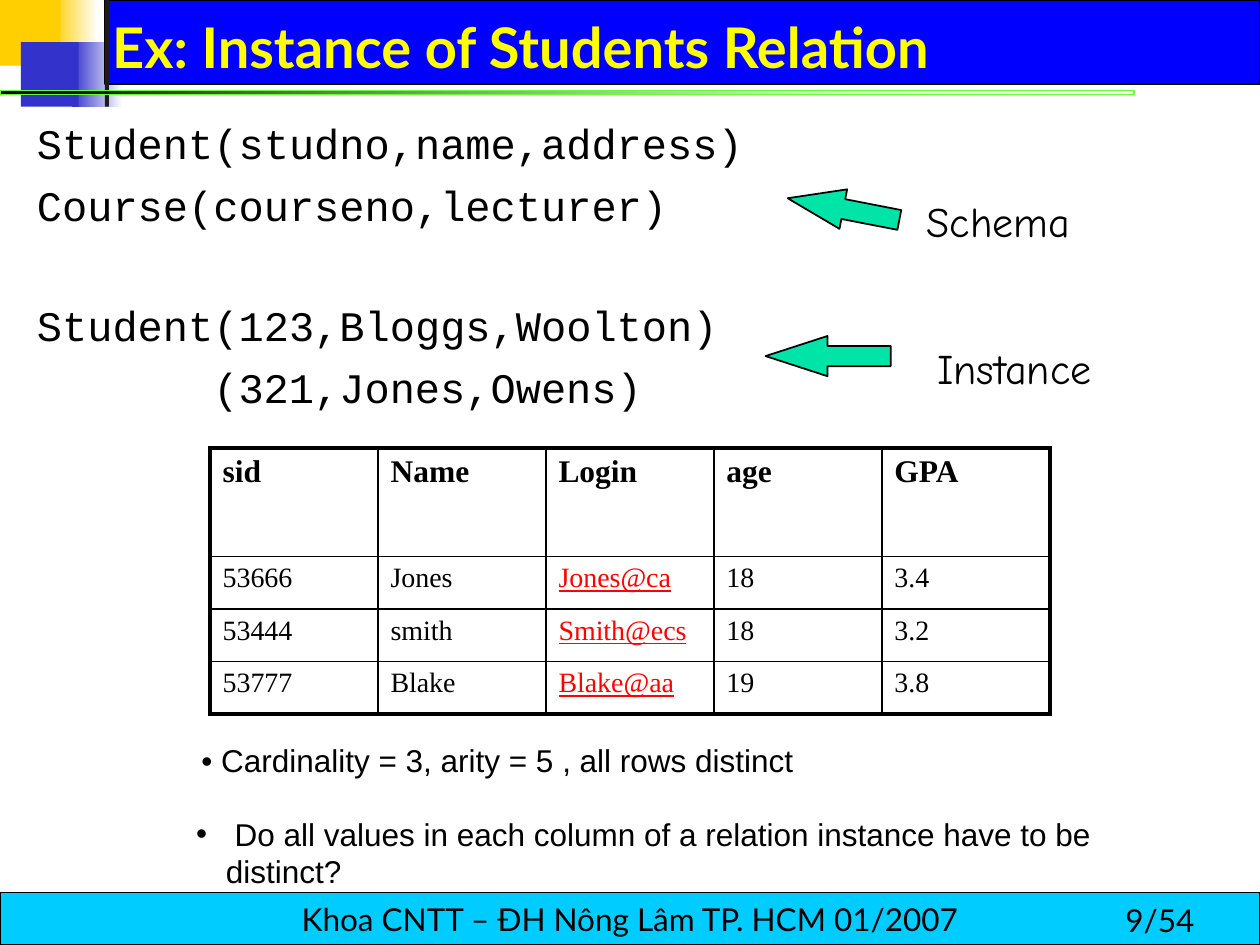
from lxml.etree import SubElement
from pptx import Presentation
from pptx.dml.color import RGBColor
from pptx.enum.shapes import MSO_SHAPE as SHAPE
from pptx.enum.text import MSO_ANCHOR as ANCHOR, PP_ALIGN as ALIGN
from pptx.oxml.ns import qn
from pptx.util import Pt

BLACK, RED = "000000", "FF0000"
THIN, THICK = 1, 2.25

SCHEMA_LINES = [("Student(studno,name,address)", 6.5, 0),
                ("Course(courseno,lecturer)", 6.5, 0),
                ("Student(123,Bloggs,Woolton)", 40.2, 0),
                ("(321,Jones,Owens)", 6.5, 100.8)]
STUDENTS = [("sid", "Name", "Login", "age", "GPA"),
            ("53666", "Jones", "Jones@ca", "18", "3.4"),
            ("53444", "smith", "Smith@ecs", "18", "3.2"),
            ("53777", "Blake", "Blake@aa", "19", "3.8")]


def rgb(value):
    """Turn a hex string into a colour."""
    return RGBColor.from_string(value)


def write(paragraph, text, size=18, font="Arial", color=BLACK, bold=False,
          underline=False, align=None, before=0, indent=0, bullet=None):
    """Write formatted text into a paragraph."""
    paragraph.alignment = align
    paragraph.space_before = Pt(before)
    run = paragraph.add_run()
    run.text = text
    run.font.size, run.font.name = Pt(size), font
    run.font.bold, run.font.underline = bold, underline
    run.font.color.rgb = rgb(color)
    properties = paragraph._p.get_or_add_pPr()
    if indent:
        properties.set("marL", str(Pt(indent)))
    if bullet:
        properties.set("indent", str(-Pt(indent)))
        SubElement(properties, qn("a:buFont"), typeface="Arial")
        SubElement(properties, qn("a:buChar"), char=bullet)


def add_text(slide, box, text, anchor=ANCHOR.TOP, wrap=True, **style):
    """Add a text box holding one paragraph."""
    frame = slide.shapes.add_textbox(*map(Pt, box)).text_frame
    frame.word_wrap, frame.vertical_anchor = wrap, anchor
    write(frame.paragraphs[0], text, **style)


def add_block(slide, box, fill, fade=None, line=None, width=0.75, kind=SHAPE.RECTANGLE):
    """Add a shape with a solid fill, or one fading to a second colour."""
    block = slide.shapes.add_shape(kind, *map(Pt, box))
    block.shadow.inherit = False
    if fade:
        block.fill.gradient()
        block.fill.gradient_angle = 0
        for stop, color in zip(block.fill.gradient_stops, (fill, fade)):
            stop.color.rgb = rgb(color)
    else:
        block.fill.solid()
        block.fill.fore_color.rgb = rgb(fill)
    if line:
        block.line.color.rgb = rgb(line)
        block.line.width = Pt(width)
    else:
        block.line.fill.background()
    return block


def add_header(slide, box, title):
    """Draw the coloured squares, title band and rule."""
    x, y, width, height = box
    add_block(slide, (x + 30, y, 26, 37.5), "FFCF01", fade="FFFFFF")
    add_block(slide, (x + 41, y + 24, 29, 37), "3333CC", fade="FFFFFF")
    add_block(slide, (x + 60, y, width - 60, 48), "0000FF", line=BLACK)
    add_block(slide, (x, y, 34.5, 37.5), "FFCF01")
    add_block(slide, (x + 12, y + 24, 33, 37), "3333CC")
    add_block(slide, (x + 60, y, 2.2, height), "1C1C1C")
    rule = add_block(slide, (x, y + 51.8, 648, 2.2), BLACK, fade="66FF33",
                     line="66FF33", width=0)
    end_color = rule._element.spPr.findall(".//" + qn("a:gs"))[-1][0]
    SubElement(end_color, qn("a:alpha"), val="0")
    add_text(slide, (x + 57, y - 5, 612, 54), title, anchor=ANCHOR.BOTTOM,
             size=32, font="Lato", color="FFFF00", bold=True)


def add_footer(slide, box, credit, page):
    """Draw the footer band with its credit and page number."""
    x, y, width, height = box
    band = add_block(slide, box, "00CCFF", line=BLACK)
    band.text_frame.vertical_anchor = ANCHOR.MIDDLE
    write(band.text_frame.paragraphs[0], credit, font="Lato", align=ALIGN.CENTER)
    add_text(slide, (x + 636, y + 1.2, width - 636, height - 1.2), page, font="Lato")


def add_schema(slide, box):
    """Write the relation schemas and their instances."""
    frame = slide.shapes.add_textbox(*map(Pt, box)).text_frame
    frame.word_wrap = True
    for number, (text, before, indent) in enumerate(SCHEMA_LINES):
        paragraph = frame.add_paragraph() if number else frame.paragraphs[0]
        write(paragraph, text, size=24, font="Courier New", before=before, indent=indent)


def add_callout(slide, box, label, label_left, turn=0, head=1.5):
    """Draw a left arrow and the label at its tail."""
    x, y, width, height = box
    arrow = add_block(slide, box, "00E4A8", line=BLACK, width=1, kind=SHAPE.LEFT_ARROW)
    arrow.adjustments[1] = head
    arrow.rotation = turn
    add_text(slide, (x + label_left, y, 110, 36), label, wrap=False,
             size=24, font="Comic Neue")


def add_borders(cell, **widths):
    """Draw the four black borders of a cell."""
    properties = cell._tc.get_or_add_tcPr()
    for place, (side, width) in enumerate(widths.items()):
        border = SubElement(properties, qn("a:" + side), w=str(Pt(width)))
        properties.insert(place, border)
        fill = SubElement(border, qn("a:solidFill"))
        SubElement(fill, qn("a:srgbClr"), val=BLACK)


def add_students(slide, box):
    """Draw the table of students."""
    width, height = box[2:]
    rows, columns = len(STUDENTS), len(STUDENTS[0])
    header_height = 62
    table = slide.shapes.add_table(rows, columns, *map(Pt, box)).table
    table.first_row = table.horz_banding = False
    for column in table.columns:
        column.width = Pt(width / columns)
    for r, values in enumerate(STUDENTS):
        is_header = r == 0
        table.rows[r].height = Pt(
            header_height if is_header else (height - header_height) / (rows - 1))
        for c, value in enumerate(values):
            cell = table.cell(r, c)
            cell.fill.background()
            is_login = "@" in value
            write(cell.text_frame.paragraphs[0], value, font="Times New Roman",
                  size=18 if is_header else 16, bold=is_header,
                  color=RED if is_login else BLACK, underline=is_login)
            add_borders(cell, lnL=THIN if c else THICK,
                        lnR=THICK if c == columns - 1 else THIN,
                        lnT=THIN if r else THICK,
                        lnB=THICK if r == rows - 1 else THIN)


def add_remarks(slide, box):
    """Write the remark and the question below the table."""
    x, y, width, height = box
    add_text(slide, (x + 3, y, 420, 31),
             "• Cardinality = 3, arity = 5 , all rows distinct")
    add_text(slide, (x, y + 42, width, height - 42),
             " Do all values in each column of a relation instance have to be distinct?",
             indent=17, bullet="•")


def main():
    """Build the slide and save it."""
    deck = Presentation()
    deck.slide_width, deck.slide_height = Pt(720), Pt(540)
    slide = deck.slides.add_slide(deck.slide_layouts[6])
    add_header(slide, (0, 0, 720, 61), "Ex: Instance of Students Relation")
    add_footer(slide, (0, 510, 720, 30), "Khoa CNTT – ĐH Nông Lâm TP. HCM 01/2007", "9/54")
    add_students(slide, (120, 256, 480, 152))
    add_remarks(slide, (105, 420, 585, 91))
    add_schema(slide, (14, 63.5, 442, 175.5))
    add_callout(slide, (449.5, 108, 65, 23), "Schema", 73, turn=11, head=1.41)
    add_callout(slide, (437.5, 192, 71.5, 23), "Instance", 91, head=1.54)
    deck.save("out.pptx")


if __name__ == "__main__":
    main()
